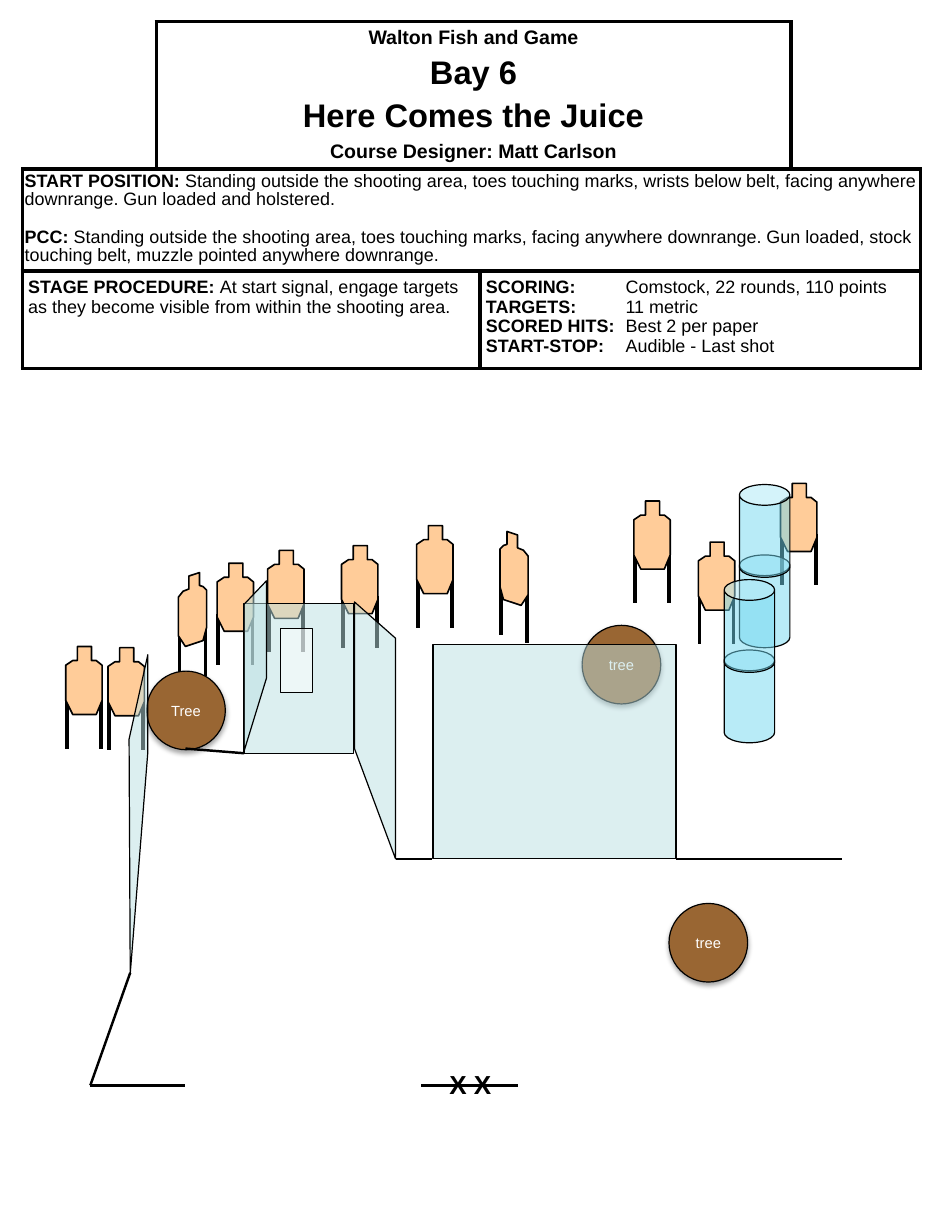
from lxml.etree import SubElement
from pptx import Presentation
from pptx.dml.color import RGBColor
from pptx.enum.shapes import MSO_CONNECTOR, MSO_SHAPE
from pptx.enum.text import MSO_ANCHOR, PP_ALIGN
from pptx.oxml import parse_xml
from pptx.oxml.ns import nsdecls, qn
from pptx.util import Pt

PX = 9144
FONT = "Arial"
COLORS = {"ink": "000000", "paper": "FFFFFF", "target": "FFCC99",
          "barrel": "73D9F1", "tree": "996633", "wall": "BBE0E3"}

HEADING = [("Walton Fish and Game", 12), ("Bay 6", 20),
           ("Here Comes the Juice", 20), ("Course Designer: Matt Carlson", 12)]
START = [
    ("START POSITION:", " Standing outside the shooting area, toes touching marks, wrists "
     "below belt, facing anywhere downrange. Gun loaded and holstered."),
    ("PCC: ", "Standing outside the shooting area, toes touching marks, facing anywhere "
     "downrange. Gun loaded, stock touching belt, muzzle pointed anywhere downrange."),
]
PROCEDURE = [("STAGE PROCEDURE: ", "At start signal, engage targets as they become visible "
              "from within the shooting area.")]
SCORING = [("SCORING:", "\tComstock, 22 rounds, 110 points"), ("TARGETS:", "\t11 metric"),
           ("SCORED HITS:", "\tBest 2 per paper"), ("START-STOP:", "\tAudible - Last shot")]

BRIEFING = (19, 18)
COLUMNS = [114, 276, 265, 110]
ROWS = [126, 87, 83]
EDGES = [["RB", "LRTB", "LRTB", "LB"], ["LRTB"] * 4, ["LRTB"] * 4]
SCORING_TAB = 119

FACING = {"outline": [(10, 0), (22, 0), (22, 12), (26, 12), (31, 16), (31, 46), (26, 58),
                      (6, 58), (0, 46), (0, 16), (6, 12), (10, 12)],
          "legs": [(1, 43), (30, 43)]}
TURNED = {"outline": [(9, 3), (18, 0), (18, 11), (21, 12), (24, 15), (24, 47), (21, 58),
                      (6, 63), (0, 54), (0, 21), (4, 16), (9, 14)],
          "legs": [(1, 51), (23, 44)]}
MIRRORED = {part: [(24 - x, y) for x, y in points] for part, points in TURNED.items()}
LEG = 44
TARGETS = [(FACING, 665, 412), (TURNED, 152, 488), (FACING, 291, 465), (FACING, 228, 469),
           (FACING, 185, 480), (FACING, 92, 552), (FACING, 56, 551), (FACING, 595, 462),
           (MIRRORED, 426, 453), (FACING, 355, 448), (FACING, 540, 427)]
BARREL_STACKS = [(630, 413), (617, 494)]
BARREL_SIZE, BARREL_STEP = (43, 79), 60
TREES = [("Tree", 125, 572), ("tree", 496, 533), ("tree", 570, 770)]
TREE_SIZE = 67
WALLS = [
    ("wall", [(126, 641), (111, 830), (110, 630), (126, 558)]),
    ("wall", (208, 514, 93, 128)),
    ("wall", [(227, 578), (208, 640), (208, 515), (227, 495)]),
    ("paper", (239, 536, 27, 54)),
    ("wall", [(302, 638), (337, 732), (337, 544), (302, 513)]),
    ("wall", (369, 549, 207, 183)),
]
START_MARK = ("X X", 373, 906, 58, 37)
FAULT_LINES = [(337, 732, 368, 732), (158, 638, 208, 642), (77, 925, 111, 829),
               (77, 925, 158, 925), (576, 732, 717, 732), (359, 925, 441, 925)]


def rgb(name):
    return RGBColor.from_string(COLORS[name])


def scaled(*lengths):
    return [length * PX for length in lengths]


def style_run(run, size, bold, color="ink"):
    font = run.font
    font.name, font.size, font.bold = FONT, Pt(size), bold
    font.color.rgb = rgb(color)


def style_shape(shape, color, width=0.75, alpha=None):
    shape.shadow.inherit = False
    shape.fill.solid()
    shape.fill.fore_color.rgb = rgb(color)
    shape.line.color.rgb = rgb("ink")
    shape.line.width = Pt(width)
    if alpha:
        swatch = shape._element.spPr.find(qn("a:solidFill"))[0]
        SubElement(swatch, qn("a:alpha"), val=str(alpha * 1000))


def add_line(shapes, ends, width):
    line = shapes.add_connector(MSO_CONNECTOR.STRAIGHT, *scaled(*ends))
    line.line.color.rgb = rgb("ink")
    line.line.width = Pt(width)
    SubElement(line._element.spPr, qn("a:effectLst"))


def add_polygon(shapes, points):
    builder = shapes.build_freeform(*points[0], scale=PX)
    builder.add_line_segments(points[1:], close=True)
    return builder.convert_to_shape()


def set_edges(cell, edges):
    properties = cell._tc.get_or_add_tcPr()
    for place, edge in enumerate(edges):
        properties.insert(place, parse_xml(
            f'<a:ln{edge} {nsdecls("a")} w="28575"><a:solidFill>'
            f'<a:srgbClr val="{COLORS["ink"]}"/></a:solidFill></a:ln{edge}>'))


def fill_cell(cell, entries, margins, gap=0, line_spacing=None, tab=None):
    cell.margin_left = cell.margin_right = margins[0] * PX
    cell.margin_top = cell.margin_bottom = margins[1] * PX
    for place, (label, detail) in enumerate(entries):
        frame = cell.text_frame
        paragraph = frame.add_paragraph() if place else frame.paragraphs[0]
        if place and gap:
            paragraph.space_before = Pt(gap)
        if line_spacing:
            paragraph.line_spacing = line_spacing
        if tab:
            stops = SubElement(paragraph._p.get_or_add_pPr(), qn("a:tabLst"))
            SubElement(stops, qn("a:tab"), pos=str(tab * PX), algn="l")
        for text, bold in ((label, True), (detail, False)):
            run = paragraph.add_run()
            run.text = text
            style_run(run, 11, bold)


def add_briefing(shapes):
    table = shapes.add_table(len(ROWS), len(COLUMNS), *scaled(
        *BRIEFING, sum(COLUMNS), sum(ROWS))).table
    table.first_row = table.horz_banding = False
    for column, width in zip(table.columns, COLUMNS):
        column.width = width * PX
    for row, height in zip(table.rows, ROWS):
        row.height = height * PX
    for r, row_edges in enumerate(EDGES):
        for c, edges in enumerate(row_edges):
            cell = table.cell(r, c)
            cell.fill.solid()
            cell.fill.fore_color.rgb = rgb("paper")
            set_edges(cell, edges)
    for row, first, last in ((0, 1, 2), (1, 0, 3), (2, 0, 1), (2, 2, 3)):
        table.cell(row, first).merge(table.cell(row, last))

    heading = table.cell(0, 1)
    heading.vertical_anchor = MSO_ANCHOR.MIDDLE
    heading.margin_left = heading.margin_right = 5 * PX
    heading.margin_top = heading.margin_bottom = 5 * PX
    heading.text_frame.text = "\n".join(text for text, _ in HEADING)
    for place, (_, size) in enumerate(HEADING):
        paragraph = heading.text_frame.paragraphs[place]
        paragraph.alignment = PP_ALIGN.CENTER
        if place:
            paragraph.space_before = Pt(4)
        style_run(paragraph.runs[0], size, True)
    fill_cell(table.cell(1, 0), START, (2, 4), gap=12, line_spacing=0.9)
    fill_cell(table.cell(2, 0), PROCEDURE, (5, 5))
    fill_cell(table.cell(2, 2), SCORING, (5, 5), tab=SCORING_TAB)


def add_target(shapes, kind, left, top):
    group = shapes.add_group_shape().shapes
    for x, y in kind["legs"]:
        add_line(group, (left + x, top + y, left + x, top + y + LEG), 2.25)
    outline = [(left + x, top + y) for x, y in kind["outline"]]
    style_shape(add_polygon(group, outline), "target", 1)


def add_barrels(shapes, left, top):
    group = shapes.add_group_shape().shapes
    for y in (top + BARREL_STEP, top):
        barrel = group.add_shape(MSO_SHAPE.CAN, *scaled(left, y, *BARREL_SIZE))
        barrel.adjustments[0] = 0.41
        style_shape(barrel, "barrel", alpha=50)


def add_tree(shapes, label, left, top):
    tree = shapes.add_shape(MSO_SHAPE.OVAL, *scaled(left, top, TREE_SIZE, TREE_SIZE))
    style_shape(tree, "tree")
    tree._element.spPr.find(qn("a:effectLst")).append(parse_xml(
        f'<a:outerShdw {nsdecls("a")} blurRad="40000" dist="23000" dir="5400000" '
        f'rotWithShape="0"><a:srgbClr val="{COLORS["ink"]}"><a:alpha val="35000"/>'
        '</a:srgbClr></a:outerShdw>'))
    tree.text_frame.text = label
    tree.text_frame.vertical_anchor = MSO_ANCHOR.MIDDLE
    paragraph = tree.text_frame.paragraphs[0]
    paragraph.alignment = PP_ALIGN.CENTER
    style_run(paragraph.runs[0], 9, False, "paper")


def main():
    deck = Presentation()
    deck.slide_width, deck.slide_height = scaled(800, 1050)
    shapes = deck.slides.add_slide(deck.slide_layouts[6]).shapes
    add_briefing(shapes)
    for target in TARGETS:
        add_target(shapes, *target)
    for stack in BARREL_STACKS:
        add_barrels(shapes, *stack)
    for tree in TREES:
        add_tree(shapes, *tree)
    for color, form in WALLS:
        if isinstance(form, list):
            wall = add_polygon(shapes, form)
        else:
            wall = shapes.add_shape(MSO_SHAPE.RECTANGLE, *scaled(*form))
        style_shape(wall, color, alpha=50)
    label, *place = START_MARK
    mark = shapes.add_textbox(*scaled(*place)).text_frame
    mark.word_wrap = True
    mark.text = label
    style_run(mark.paragraphs[0].runs[0], 16, True)
    for ends in FAULT_LINES:
        add_line(shapes, ends, 1.5)
    deck.save("out.pptx")


if __name__ == "__main__":
    main()
